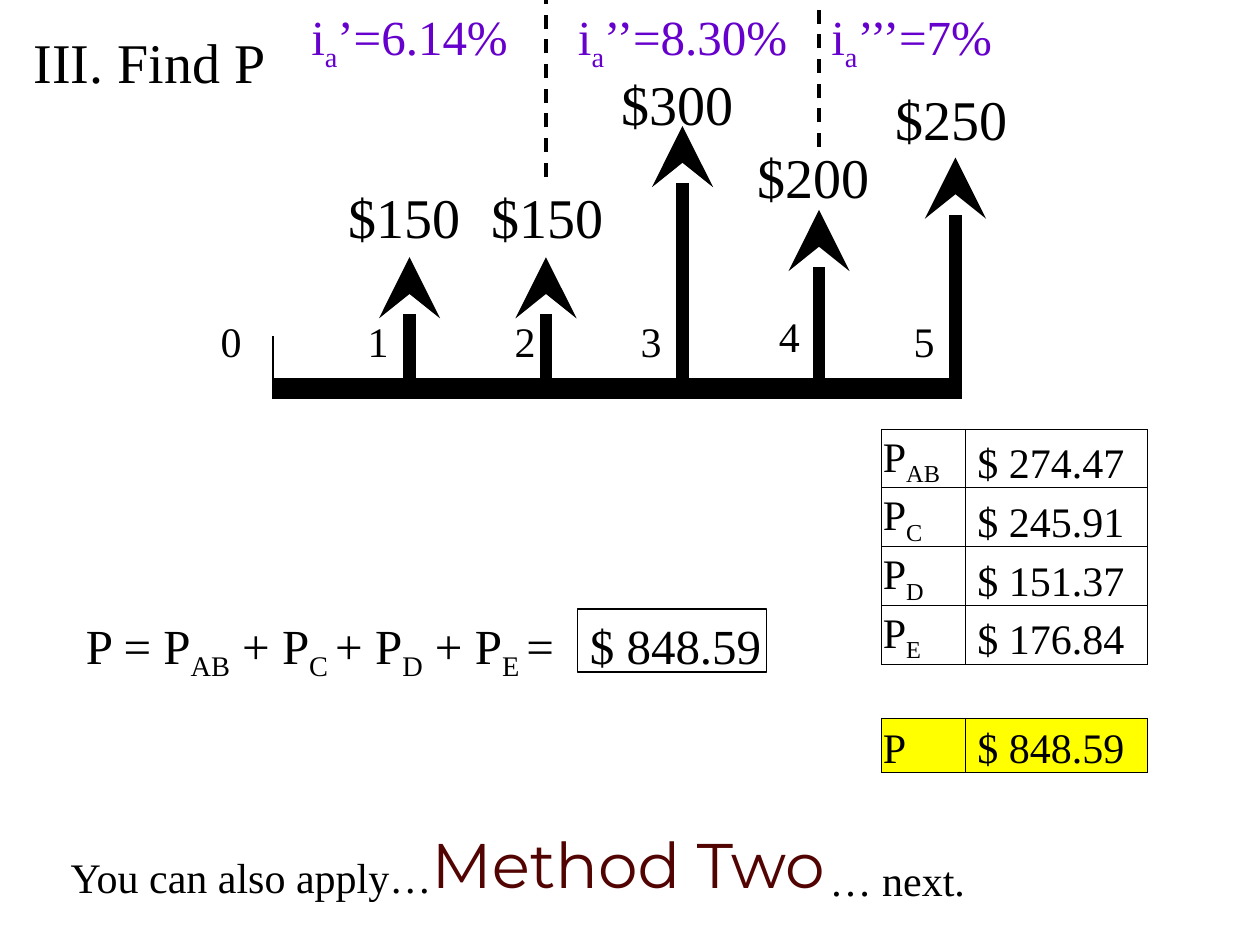
from dataclasses import dataclass

from lxml.etree import SubElement
from pptx import Presentation
from pptx.dml.color import RGBColor
from pptx.enum.dml import MSO_LINE
from pptx.enum.shapes import MSO_CONNECTOR, MSO_SHAPE
from pptx.enum.text import MSO_ANCHOR, MSO_AUTO_SIZE, PP_ALIGN
from pptx.oxml.ns import qn
from pptx.util import Pt

COLORS = {
    "ink": "000000",
    "rate": "6600CC",
    "total": "FFFF00",
    "method_top": "520402",
    "method_bottom": "FFCC00",
    "method_edge": "B2B2B2",
}
SERIF = "Times New Roman"
SUBSCRIPT = "-25000"

AXIS_LEFT, AXIS_Y, PERIOD = 156, 222, 78
TICK_TOP, TICK_BOTTOM = 192, 228


@dataclass
class Flow:
    amount: str
    tip: float
    label_left: float
    label_top: float


@dataclass
class Rate:
    left: float
    width: float
    value: str
    align: PP_ALIGN


FLOWS = [
    Flow("$150", 147, 192, 101),
    Flow("$150", 147, 274, 101),
    Flow("$300", 72, 348, 36),
    Flow("$200", 120, 426, 78),
    Flow("$250", 90, 504.5, 45),
]
PERIOD_LABELS = [(119, 177), (203, 177), (287, 177), (359, 177), (438, 174), (515, 177)]
RATES = [
    Rate(168, 132, "’=6.14%", PP_ALIGN.CENTER),
    Rate(312, 156, "’’=8.30%", PP_ALIGN.CENTER),
    Rate(468, 114, "’’’=7%", PP_ALIGN.LEFT),
]
DIVIDERS = {2: 101, 4: 84}
# Runs are (text, is_subscript) pairs
SUM_RUNS = [
    ("P = P", False), ("AB", True), (" + P", False), ("C ", True),
    ("+ P", False), ("D", True), (" + P", False), ("E ", True),
    ("=\t$ 848.59", False),
]
PRESENT_VALUES = [
    ("AB", " $ 274.47"),
    ("C", " $ 245.91"),
    ("D", " $ 151.37"),
    ("E", " $ 176.84"),
    None,
    ("", " $ 848.59"),
]


def rgb(name: str) -> RGBColor:
    return RGBColor.from_string(COLORS[name])


def add_runs(paragraph, runs, size: float, color: str = "ink", face: str = SERIF) -> None:
    for text, is_subscript in runs:
        run = paragraph.add_run()
        run.text = text
        run.font.name = face
        run.font.size = Pt(size)
        run.font.color.rgb = rgb(color)
        if is_subscript:
            run.font._element.set("baseline", SUBSCRIPT)


def add_text(slide, left: float, top: float, width: float, height: float, runs,
             size: float, color: str = "ink", wrap: bool = False,
             align: PP_ALIGN = PP_ALIGN.LEFT, face: str = SERIF):
    box = slide.shapes.add_textbox(Pt(left), Pt(top), Pt(width), Pt(height))
    box.text_frame.word_wrap = wrap
    paragraph = box.text_frame.paragraphs[0]
    paragraph.alignment = align
    add_runs(paragraph, runs, size, color, face)
    return box


def add_line(slide, x1: float, y1: float, x2: float, y2: float, weight: float,
             dashed: bool = False, arrow: bool = False) -> None:
    line = slide.shapes.add_connector(
        MSO_CONNECTOR.STRAIGHT, Pt(x1), Pt(y1), Pt(x2), Pt(y2))
    line.line.color.rgb = rgb("ink")
    line.line.width = Pt(weight)
    if dashed:
        line.line.dash_style = MSO_LINE.DASH
    if arrow:
        SubElement(line.line._get_or_add_ln(), qn("a:tailEnd"),
                   type="stealth", w="lg", len="lg")
    SubElement(line._element.spPr, qn("a:effectLst"))


def add_edge(parent, tag: str, weight: float, color: str | None) -> None:
    edge = SubElement(parent, qn(tag), w=str(Pt(weight)))
    if color is None:
        SubElement(edge, qn("a:noFill"))
    else:
        fill = SubElement(edge, qn("a:solidFill"))
        SubElement(fill, qn("a:srgbClr"), val=COLORS[color])


def format_cell(cell, runs, fill: str | None) -> None:
    cell.margin_left = cell.margin_right = cell.margin_top = Pt(0.75)
    cell.margin_bottom = Pt(0)
    cell.vertical_anchor = MSO_ANCHOR.BOTTOM
    side_color = "ink" if runs else None
    for tag, color in (("a:lnL", side_color), ("a:lnR", side_color),
                       ("a:lnT", "ink"), ("a:lnB", "ink")):
        add_edge(cell._tc.get_or_add_tcPr(), tag, 0.5, color)
    if fill:
        cell.fill.solid()
        cell.fill.fore_color.rgb = rgb(fill)
    else:
        cell.fill.background()
    add_runs(cell.text_frame.paragraphs[0], runs, 24)


def add_value_table(slide) -> None:
    rows = len(PRESENT_VALUES)
    table = slide.shapes.add_table(rows, 2, Pt(503.75), Pt(245.25), Pt(152), Pt(31 * rows)).table
    table.first_row = table.horz_banding = False
    table.columns[0].width, table.columns[1].width = Pt(48), Pt(104)
    for index, entry in enumerate(PRESENT_VALUES):
        name_runs, value_runs = [], []
        if entry:
            suffix, value = entry
            name_runs = [("P", False)] + ([(suffix, True)] if suffix else [])
            value_runs = [(value, False)]
        fill = "total" if index == rows - 1 else None
        format_cell(table.cell(index, 0), name_runs, fill)
        format_cell(table.cell(index, 1), value_runs, fill)


def add_method_name(slide) -> None:
    box = add_text(slide, 234, 468, 250, 51, [("Method Two", False)], 36,
                   align=PP_ALIGN.CENTER, face="Montserrat")
    font = box.text_frame.paragraphs[0].runs[0].font
    font.fill.gradient()
    font.fill.gradient_angle = 270
    for stop, color in zip(font.fill.gradient_stops, ("method_top", "method_bottom")):
        stop.color.rgb = rgb(color)
    add_edge(font._element, "a:ln", 1, "method_edge")
    font._element.insert(0, font._element[-1])


def main() -> None:
    prs = Presentation()
    prs.slide_width, prs.slide_height = Pt(720), Pt(540)
    slide = prs.slides.add_slide(prs.slide_layouts[5])

    # Title
    title = slide.shapes.title
    title.left, title.top, title.width, title.height = Pt(12), Pt(12), Pt(155), Pt(46)
    title.text_frame.word_wrap = False
    title.text_frame.auto_size = MSO_AUTO_SIZE.NONE
    title.text_frame.vertical_anchor = MSO_ANCHOR.TOP
    title.text_frame.paragraphs[0].alignment = PP_ALIGN.LEFT
    add_runs(title.text_frame.paragraphs[0], [("III. Find P", False)], 32)

    # Time axis with period ticks
    axis_right = AXIS_LEFT + PERIOD * len(FLOWS)
    add_line(slide, AXIS_LEFT, AXIS_Y, axis_right, AXIS_Y, 12)
    for period, (left, top) in enumerate(PERIOD_LABELS):
        x = AXIS_LEFT + PERIOD * period
        add_line(slide, x, TICK_TOP, x, TICK_BOTTOM, 0.75)
        add_text(slide, left, top, 27, 36, [(str(period), False)], 24)

    # Cash flow arrows; the last one reaches the bottom edge of the axis
    for period, flow in enumerate(FLOWS, start=1):
        x = AXIS_LEFT + PERIOD * period
        start = TICK_BOTTOM if period == len(FLOWS) else AXIS_Y
        add_line(slide, x, start, x, flow.tip, 7, arrow=True)
        add_text(slide, flow.label_left, flow.label_top, 79, 46, [(flow.amount, False)], 32)

    # Interest rates and the dividers between them
    for period, bottom in DIVIDERS.items():
        x = AXIS_LEFT + PERIOD * period
        add_line(slide, x, bottom, x, 0, 2, dashed=True)
    for rate in RATES:
        add_text(slide, rate.left, 0, rate.width, 41,
                 [("i", False), ("a", True), (rate.value, False)],
                 28, "rate", wrap=True, align=rate.align)

    # Sum with its framed result
    add_text(slide, 42, 348, 408, 41, SUM_RUNS, 28, wrap=True)
    frame = slide.shapes.add_shape(MSO_SHAPE.RECTANGLE, Pt(330), Pt(348), Pt(108), Pt(36))
    frame.shadow.inherit = False
    frame.fill.background()
    frame.line.color.rgb = rgb("ink")
    frame.line.width = Pt(0.75)

    add_value_table(slide)

    # Closing sentence
    add_text(slide, 33.25, 483, 240, 36, [("You can also apply…", False)], 24, wrap=True)
    add_method_name(slide)
    add_text(slide, 467, 484.5, 240, 36, [("… next.", False)], 24, wrap=True)

    prs.save("out.pptx")


if __name__ == "__main__":
    main()
